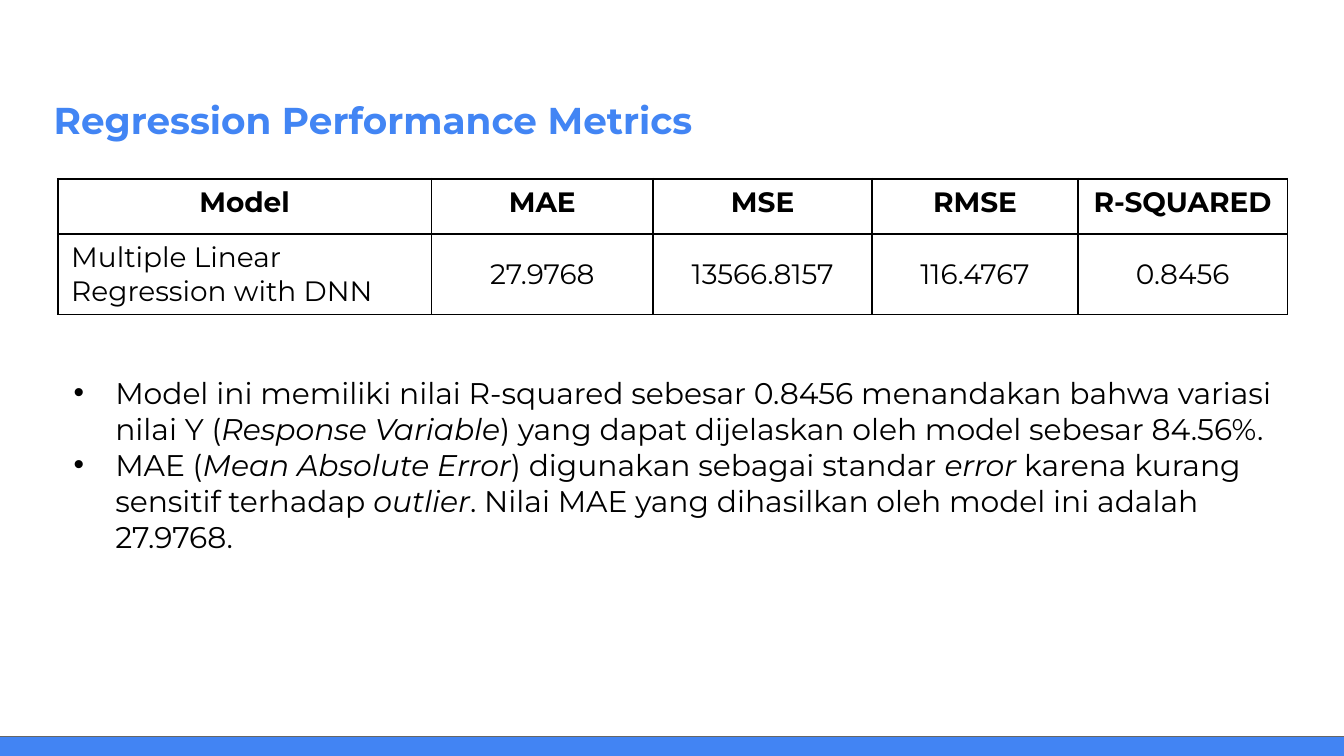
import pptx
import pptx.dml.color
import pptx.enum.shapes
import pptx.enum.text
import pptx.oxml
import pptx.oxml.ns
import pptx.util
from pptx.util import Inches

BLUE = pptx.dml.color.RGBColor(0x42, 0x85, 0xF4)
BAR_BLUE = pptx.dml.color.RGBColor(0x42, 0x84, 0xF3)
GRAY = pptx.dml.color.RGBColor(0x66, 0x66, 0x66)
BLACK = pptx.dml.color.RGBColor(0, 0, 0)
FONT = "Montserrat"
CENTER = pptx.enum.text.PP_ALIGN.CENTER
LEFT = pptx.enum.text.PP_ALIGN.LEFT

COLUMN_WIDTHS = [2.78, 1.65, 1.63, 1.53, 1.56]
ROW_HEIGHTS = [0.41, 0.6]
METRICS = [
    ["Model", "MAE", "MSE", "RMSE", "R-SQUARED"],
    ["Multiple Linear Regression with DNN", "27.9768", "13566.8157", "116.4767", "0.8456"],
]
FINDINGS = [
    [
        ("Model ini memiliki nilai R-squared sebesar 0.8456 menandakan bahwa variasi nilai Y (", False),
        ("Response Variable", True),
        (") yang dapat dijelaskan oleh model sebesar 84.56%.", False),
    ],
    [
        ("MAE (", False),
        ("Mean Absolute Error", True),
        (") digunakan sebagai standar ", False),
        ("error ", True),
        ("karena kurang sensitif terhadap ", False),
        ("outlier", True),
        (". Nilai MAE yang dihasilkan oleh model ini adalah 27.9768.", False),
    ],
]


def add_text(p, text, size=16, color=BLACK, bold=False, italic=False, align=LEFT):
    """Add a formatted run to a paragraph."""
    p.alignment = align
    r = p.add_run()
    r.text = text
    r.font.name = FONT
    r.font.size = pptx.util.Pt(size)
    r.font.color.rgb = color
    r.font.bold = bold
    r.font.italic = italic


def add_text_frame(s, left, top, width, height):
    """Add a wrapping text box and return its text frame."""
    tf = s.shapes.add_textbox(Inches(left), Inches(top), Inches(width), Inches(height)).text_frame
    tf.word_wrap = True
    return tf


def add_footer_bar(s):
    """Add the blue bar along the bottom edge."""
    sp = s.shapes.add_shape(
        pptx.enum.shapes.MSO_SHAPE.RECTANGLE, Inches(-0.04), Inches(5.48), Inches(10.18), Inches(0.3)
    )
    sp.shadow.inherit = False
    sp.fill.solid()
    sp.fill.fore_color.rgb = BAR_BLUE
    sp.line.color.rgb = GRAY
    sp.line.width = pptx.util.Pt(0.75)


def add_title(s, text):
    """Add the slide title."""
    tf = add_text_frame(s, 0.3, 0.62, 5.08, 0.61)
    tf.margin_top = tf.margin_bottom = Inches(0.1)
    add_text(tf.paragraphs[0], text, size=20, color=BLUE, bold=True)


def set_borders(cell):
    """Draw a thin black border on every side of a cell."""
    tc_pr = cell._tc.get_or_add_tcPr()
    for i, side in enumerate(("lnL", "lnR", "lnT", "lnB")):
        ln = pptx.oxml.parse_xml(
            f'<a:{side} {pptx.oxml.ns.nsdecls("a")} w="{pptx.util.Pt(1)}">'
            f'<a:solidFill><a:srgbClr val="{BLACK}"/></a:solidFill></a:{side}>'
        )
        tc_pr.insert(i, ln)


def add_metrics_table(s):
    """Add the table of regression metrics."""
    table = s.shapes.add_table(
        len(METRICS), len(COLUMN_WIDTHS), Inches(0.43), Inches(1.33),
        Inches(sum(COLUMN_WIDTHS)), Inches(sum(ROW_HEIGHTS)),
    ).table
    for column, width in zip(table.columns, COLUMN_WIDTHS):
        column.width = Inches(width)
    for i, (row, height) in enumerate(zip(table.rows, ROW_HEIGHTS)):
        row.height = Inches(height)
        header = i == 0
        for j, cell in enumerate(row.cells):
            cell.fill.background()
            set_borders(cell)
            if not header:
                cell.vertical_anchor = pptx.enum.text.MSO_ANCHOR.MIDDLE
            align = CENTER if header or j > 0 else LEFT
            add_text(cell.text_frame.paragraphs[0], METRICS[i][j], size=15, bold=header, align=align)


def set_bullet(p):
    """Give a paragraph a black bullet with a hanging indent."""
    p_pr = p._p.get_or_add_pPr()
    p_pr.set("marL", str(Inches(0.31)))
    p_pr.set("indent", str(Inches(-0.31)))
    ns = pptx.oxml.ns.nsdecls("a")
    for xml in (
        f'<a:buClr {ns}><a:srgbClr val="{BLACK}"/></a:buClr>',
        f'<a:buFont {ns} typeface="Arial"/>',
        f'<a:buChar {ns} char="•"/>',
    ):
        p_pr.append(pptx.oxml.parse_xml(xml))


def add_findings(s):
    """Add the bulleted findings below the table."""
    tf = add_text_frame(s, 0.45, 2.74, 9.13, 1.72)
    for i, finding in enumerate(FINDINGS):
        p = tf.add_paragraph() if i else tf.paragraphs[0]
        set_bullet(p)
        for text, italic in finding:
            add_text(p, text, italic=italic)


def main():
    """Build and save the slide."""
    prs = pptx.Presentation()
    prs.slide_width = Inches(10)
    prs.slide_height = Inches(10 * 9 / 16)
    s = prs.slides.add_slide(prs.slide_layouts[6])
    add_footer_bar(s)
    add_title(s, "Regression Performance Metrics")
    add_metrics_table(s)
    add_findings(s)
    prs.save("out.pptx")


if __name__ == "__main__":
    main()
